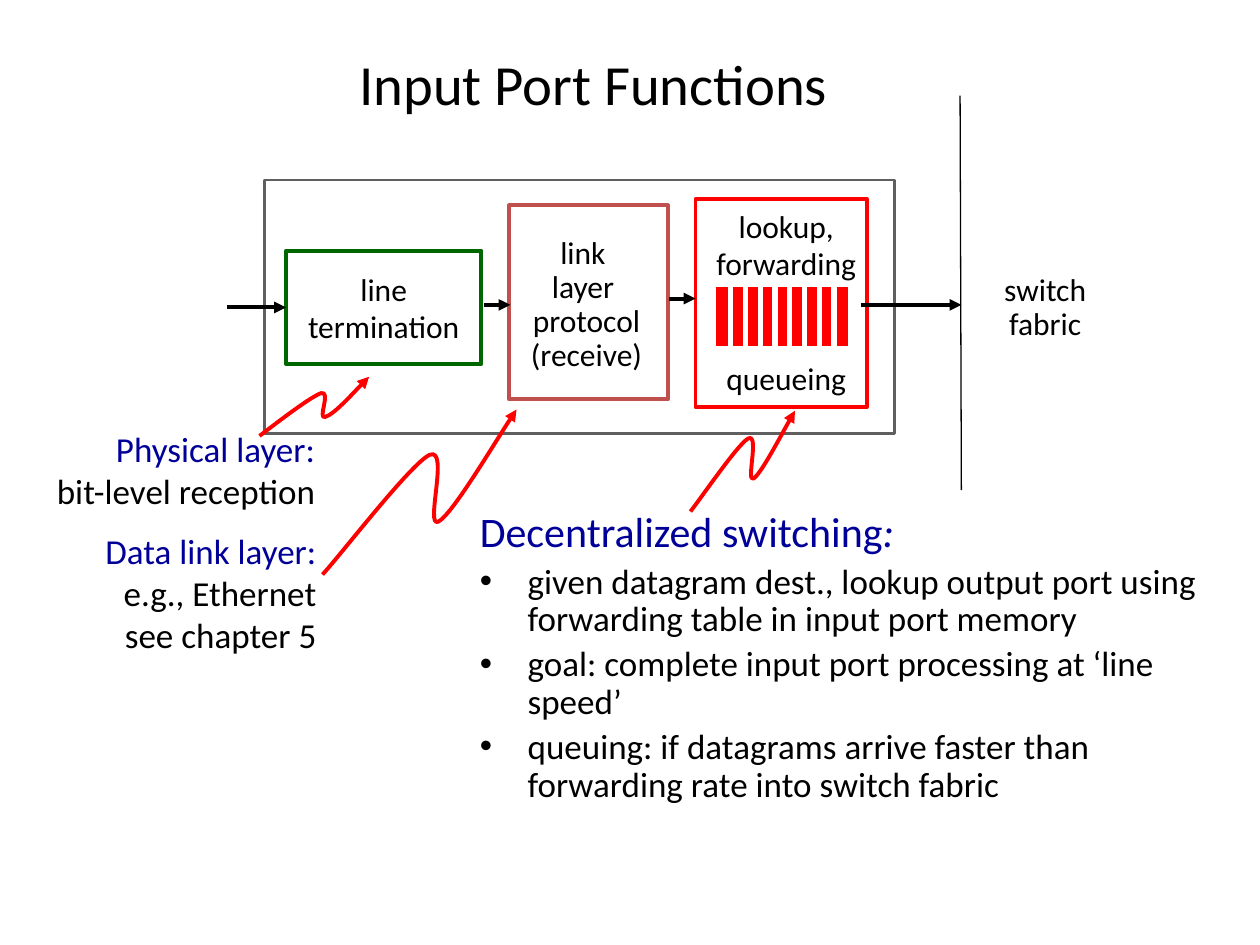
from lxml import etree
from pptx import Presentation
from pptx.dml.color import RGBColor
from pptx.enum.shapes import MSO_CONNECTOR, MSO_SHAPE
from pptx.enum.text import MSO_ANCHOR, PP_ALIGN
from pptx.oxml.ns import qn
from pptx.util import Inches, Pt

RECT = MSO_SHAPE.RECTANGLE
LINE = MSO_CONNECTOR.STRAIGHT
TOP, MID = MSO_ANCHOR.TOP, MSO_ANCHOR.MIDDLE
LEFT, CENTER, RIGHT = PP_ALIGN.LEFT, PP_ALIGN.CENTER, PP_ALIGN.RIGHT
BLACK = RGBColor(0x00, 0x00, 0x00)
WHITE = RGBColor(0xFF, 0xFF, 0xFF)
GRAY = RGBColor(0x5F, 0x5F, 0x5F)
GREEN = RGBColor(0x00, 0x66, 0x00)
ROSE = RGBColor(0xC0, 0x50, 0x4D)
RED = RGBColor(0xFF, 0x00, 0x00)
NAVY = RGBColor(0x00, 0x00, 0x99)


def write(shape, rows, size, align, anchor=TOP, pitch=1.0):
    frame = shape.text_frame
    frame.word_wrap = True
    frame.vertical_anchor = anchor
    for i, (words, color) in enumerate(rows):
        para = frame.paragraphs[0] if i == 0 else frame.add_paragraph()
        para.alignment = align
        para.line_spacing = pitch
        run = para.add_run()
        run.text = words
        run.font.name = "Calibri"
        run.font.size = Pt(size)
        run.font.color.rgb = color
    return frame


def link(shapes, ends, color, width, arrow=False):
    line = shapes.add_connector(LINE, *[Inches(v) for v in ends])
    line.line.color.rgb = color
    line.line.width = Pt(width)
    if arrow:
        etree.SubElement(line.line._get_or_add_ln(), qn("a:tailEnd"), type="triangle")
    etree.SubElement(line._element.spPr, qn("a:effectLst"))
    return line


deck = Presentation()
deck.slide_width = Inches(10)
deck.slide_height = Inches(7.5)
slide = deck.slides.add_slide(deck.slide_layouts[6])
shapes = slide.shapes

boxes = {}
for name, spot, edge, width in [
    ("port", (2.1, 1.43, 5, 2.01), GRAY, 1.5),
    ("term", (2.27, 1.99, 1.55, 0.9), GREEN, 2.25),
    ("layer", (4.04, 1.63, 1.26, 1.54), ROSE, 2.25),
    ("lookup", (5.52, 1.58, 1.36, 1.65), RED, 2.25),
    ("label", (4.08, 1.97, 1.15, 0.91), None, 0),
    ("fabric", (7.72, 1.99, 1.15, 0.91), None, 0),
]:
    box = shapes.add_shape(RECT, *[Inches(v) for v in spot])
    box.shadow.inherit = False
    box.fill.solid()
    box.fill.fore_color.rgb = WHITE
    if edge is None:
        box.line.fill.background()
    else:
        box.line.color.rgb = edge
        box.line.width = Pt(width)
    boxes[name] = box

for name, lines, pitch in [
    ("term", ["line", "termination"], 1.0),
    ("label", ["link ", "layer ", "protocol", "(receive)"], 0.9),
    ("fabric", ["switch", "fabric"], 0.9),
]:
    write(boxes[name], [(words, BLACK) for words in lines], 18, CENTER, MID, pitch)

entry = link(shapes, (1.8, 2.44, 2.27, 2.44), BLACK, 2.25, True)
entry.end_connect(boxes["term"], 1)
for left, right, y in [(3.84, 4.05, 2.42), (5.31, 5.52, 2.37), (6.83, 7.63, 2.42)]:
    link(shapes, (left, y, right, y), BLACK, 2.25, True)
link(shapes, (7.62, 0.76, 7.63, 3.89), BLACK, 0.75)

frames = {}
for name, spot, rows, size, align, anchor, pitch in [
    ("title", (0.46, 0.32, 8.5, 0.67), [("Input Port Functions", BLACK)],
     32.4, CENTER, MID, 1.0),
    ("queue", (5.5, 1.59, 1.48, 1.6),
     [("lookup,", BLACK), ("forwarding", BLACK), ("queueing", BLACK)],
     18, CENTER, TOP, 1.0),
    ("bits", (0, 3.34, 2.6, 0.77),
     [("Physical layer:", NAVY), ("bit-level reception", BLACK)],
     20, RIGHT, TOP, 1.0),
    ("data", (0.45, 4.15, 2.16, 1.1),
     [("Data link layer:", NAVY), ("e.g., Ethernet", BLACK), ("see chapter 5", BLACK)],
     20, RIGHT, TOP, 1.0),
    ("body", (3.71, 4.01, 5.97, 2.92),
     [("Decentralized switching", NAVY),
      ("given datagram dest., lookup output port using forwarding table "
       "in input port memory", BLACK),
      ("goal: complete input port processing at ‘line speed’", BLACK),
      ("queuing: if datagrams arrive faster than forwarding rate into switch fabric",
       BLACK)],
     20, LEFT, TOP, 0.9),
]:
    box = shapes.add_textbox(*[Inches(v) for v in spot])
    frames[name] = write(box, rows, size, align, anchor, pitch)

frames["queue"].paragraphs[2].space_before = Pt(44)

head, *points = frames["body"].paragraphs
colon = head.add_run()
colon.text = ":"
colon.font.name = "Calibri"
colon.font.color.rgb = NAVY
colon.font.italic = True
for run in head.runs:
    run.font.size = Pt(24)
head.space_before = Pt(4.8)
for para in points:
    para.space_before = Pt(4)
    props = para._p.get_or_add_pPr()
    props.set("marL", str(Inches(0.38)))
    props.set("indent", str(-Inches(0.38)))
    etree.SubElement(props, qn("a:buFont"), typeface="Arial")
    etree.SubElement(props, qn("a:buChar"), char="•")

for start, *bends in [
    [(2.06, 3.46),
     (2.14, 3.4), (2.46, 3.15), (2.55, 3.12),
     (2.63, 3.1), (2.52, 3.33), (2.58, 3.31),
     (2.65, 3.29), (2.86, 3.06), (2.93, 2.99)],
    [(2.56, 4.56),
     (2.7, 4.41), (3.26, 3.68), (3.41, 3.61),
     (3.57, 3.54), (3.37, 4.2), (3.48, 4.14),
     (3.59, 4.08), (3.97, 3.44), (4.1, 3.25)],
    [(5.48, 4.06),
     (5.56, 3.96), (5.86, 3.52), (5.94, 3.48),
     (6.03, 3.44), (5.92, 3.83), (5.98, 3.8),
     (6.04, 3.76), (6.24, 3.38), (6.31, 3.26)],
]:
    pen = shapes.build_freeform(Inches(start[0]), Inches(start[1]))
    pen.add_line_segments([(Inches(x), Inches(y)) for x, y in bends], close=False)
    curve = pen.convert_to_shape()
    curve.shadow.inherit = False
    curve.fill.background()
    curve.line.color.rgb = RED
    curve.line.width = Pt(2.25)
    etree.SubElement(curve.line._get_or_add_ln(), qn("a:tailEnd"), type="triangle")
    legs = list(curve._element.iter(qn("a:lnTo")))
    route = legs[0].getparent()
    for i in range(0, len(legs), 3):
        arc = etree.SubElement(route, qn("a:cubicBezTo"))
        for leg in legs[i:i + 3]:
            arc.append(leg[0])
            route.remove(leg)

group = shapes.add_group_shape()
block = group.shapes.add_shape(RECT, Inches(5.66), Inches(2.26), Inches(1.09), Inches(0.51))
block.shadow.inherit = False
block.fill.solid()
block.fill.fore_color.rgb = RED
block.line.color.rgb = WHITE
block.line.width = Pt(3)
for i in range(8):
    x = 5.8 + 0.82 * i / 7
    link(group.shapes, (x, 2.27, x, 2.76), WHITE, 3)

deck.save("out.pptx")
